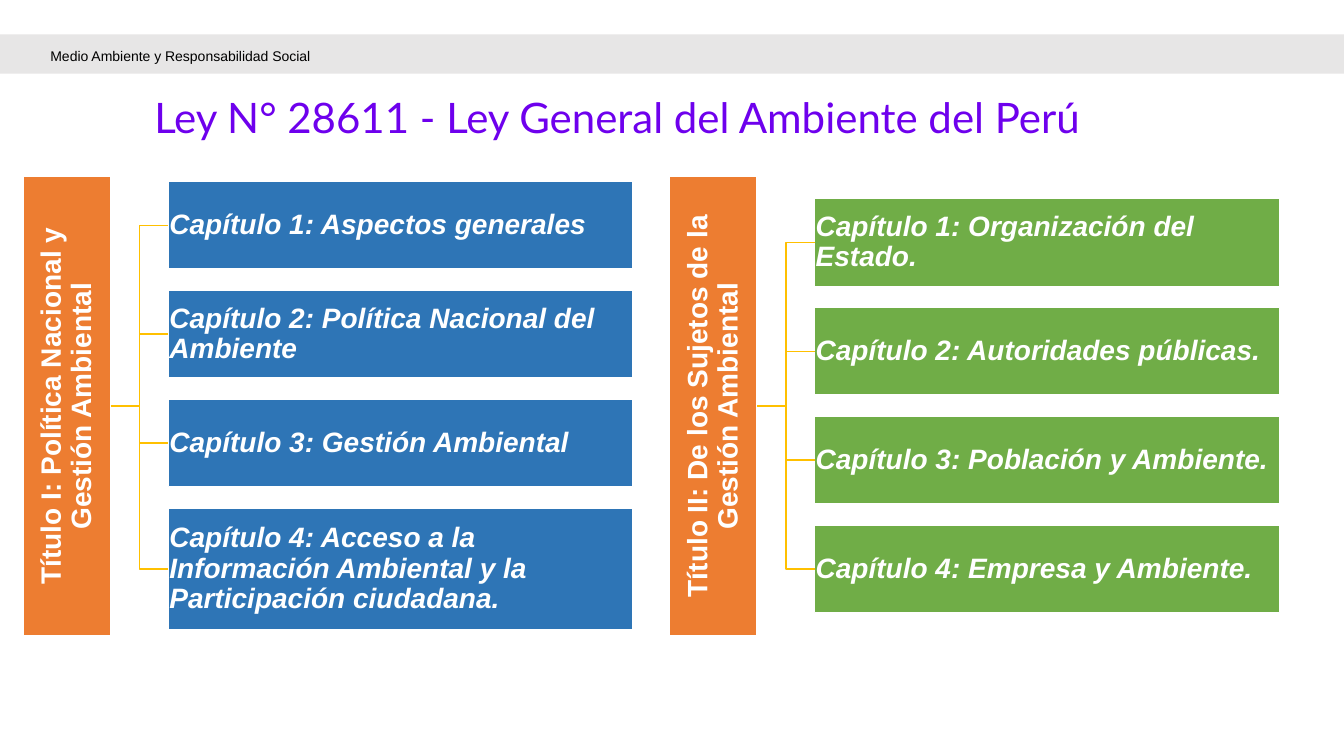
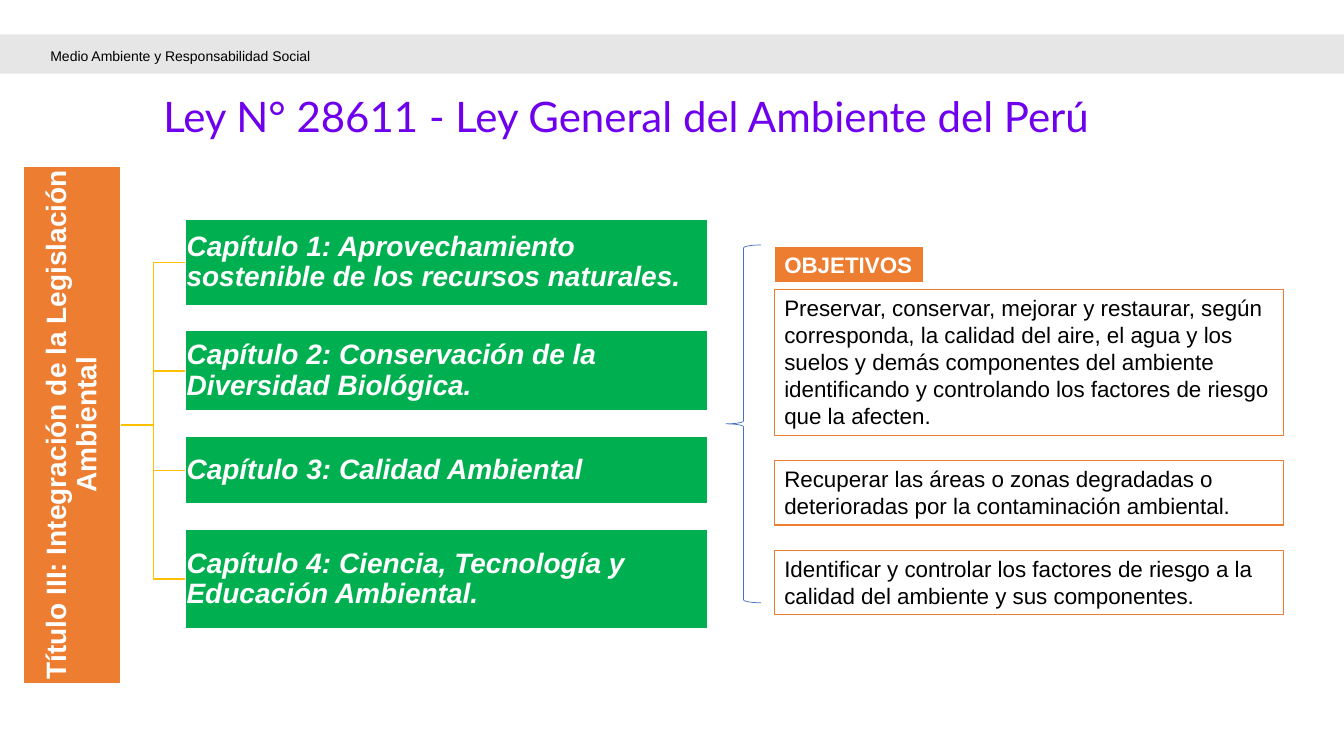
"""Two slides on the titles and chapters of the Peruvian environment law."""
from dataclasses import dataclass

from lxml import etree
from pptx import Presentation
from pptx.dml.color import RGBColor as RGB
from pptx.enum.shapes import MSO_CONNECTOR as Conn, MSO_SHAPE as Kind
from pptx.enum.text import MSO_ANCHOR as Anchor, PP_ALIGN as Align
from pptx.oxml.ns import qn
from pptx.shapes.autoshape import Shape
from pptx.slide import Slide
from pptx.util import Emu, Pt

PX = 9144
WHITE = RGB(0xFF, 0xFF, 0xFF)
BLACK = RGB(0, 0, 0)
GREY = RGB(0xE7, 0xE6, 0xE6)
PURPLE = RGB(0x6E, 0x00, 0xED)
ORANGE = RGB(0xED, 0x7D, 0x31)
GOLD = RGB(0xFF, 0xC0, 0x00)
BLUE = RGB(0x2E, 0x75, 0xB6)
GREEN = RGB(0x70, 0xAD, 0x47)
JADE = RGB(0x00, 0xB0, 0x50)
NAVY = RGB(0x44, 0x72, 0xC4)
LAW = "Ley N° 28611 - Ley General del Ambiente del Perú"
COURSE = "Medio Ambiente y Responsabilidad Social"
GOALS = "OBJETIVOS"


@dataclass(frozen=True)
class Box:
    x: int
    y: int
    w: int
    h: int

    def emu(self) -> tuple[Emu, Emu, Emu, Emu]:
        """Give the box in EMU."""
        return px(self.x), px(self.y), px(self.w), px(self.h)


@dataclass(frozen=True)
class Font:
    size: int
    color: RGB
    bold: bool = False
    slant: bool = False
    face: str = "Arial"


@dataclass(frozen=True)
class Card:
    text: str
    h: int = 87


@dataclass(frozen=True)
class Tree:
    text: str
    bar: Box
    reach: int
    wide: int
    gap: int
    fill: RGB
    cards: tuple[Card, ...]


@dataclass(frozen=True)
class Note:
    text: str
    y: int
    h: int


HEAD = Font(30, PURPLE, face="Lato")
SMALL = Font(10, BLACK)
BODY = Font(16, BLACK)
LABEL = Font(16, WHITE, bold=True)
BAR = Font(20, WHITE, bold=True)
CHAPTER = Font(20, WHITE, bold=True, slant=True)

FIRST = (
    Tree("Título I: Política Nacional y Gestión Ambiental",
         Box(23, 175, 87, 456), 57, 461, 21, BLUE, (
             Card("Capítulo 1: Aspectos generales"),
             Card("Capítulo 2: Política Nacional del Ambiente"),
             Card("Capítulo 3: Gestión Ambiental"),
             Card("Capítulo 4: Acceso a la Información Ambiental y la "
                  "Participación ciudadana.", 121))),
    Tree("Título II: De los Sujetos de la Gestión Ambiental",
         Box(664, 175, 87, 456), 57, 461, 21, GREEN, (
             Card("Capítulo 1: Organización del Estado."),
             Card("Capítulo 2: Autoridades públicas."),
             Card("Capítulo 3: Población y Ambiente."),
             Card("Capítulo 4: Empresa y Ambiente."))),
)
THIRD = Tree(
    "Título III: Integración de la Legislación Ambiental",
    Box(23, 165, 97, 513), 64, 518, 25, JADE, (
        Card("Capítulo 1: Aprovechamiento sostenible de los recursos "
             "naturales.", 85),
        Card("Capítulo 2: Conservación de la Diversidad Biológica.", 80),
        Card("Capítulo 3: Calidad Ambiental", 67),
        Card("Capítulo 4: Ciencia, Tecnología y Educación Ambiental.", 99)))
NOTES = (
    Note("Preservar, conservar, mejorar y restaurar, según corresponda, la "
         "calidad del aire, el agua y los suelos y demás componentes del "
         "ambiente identificando y controlando los factores de riesgo que "
         "la afecten.", 287, 145),
    Note("Recuperar las áreas o zonas degradadas o deterioradas por la "
         "contaminación ambiental.", 457, 64),
    Note("Identificar y controlar los factores de riesgo a la calidad del "
         "ambiente y sus componentes.", 546, 64),
)


def px(num: int) -> Emu:
    """Turn px into EMU."""
    return Emu(num * PX)


def write(shape: Shape, text: str, font: Font, pad: tuple[int, int] = (0, 0),
          anchor: Anchor = Anchor.TOP, align: Align = Align.LEFT,
          lead: float = 1.0, after: int = 0, wrap: bool = True) -> None:
    """Put one styled paragraph into a shape."""
    frame = shape.text_frame
    frame.word_wrap = wrap
    frame.vertical_anchor = anchor
    frame.margin_left = frame.margin_right = px(pad[0])
    frame.margin_top = frame.margin_bottom = px(pad[1])
    para = frame.paragraphs[0]
    para.alignment = align
    para.line_spacing = lead
    para.space_after = Pt(after)
    run = para.add_run()
    run.text = text
    run.font.name = font.face
    run.font.size = Pt(font.size)
    run.font.bold = font.bold
    run.font.italic = font.slant
    run.font.color.rgb = font.color


def draw(slide: Slide, box: Box, fill: RGB | None, line: RGB | None = None,
         width: float = 1, kind: Kind = Kind.RECTANGLE) -> Shape:
    """Draw a flat preset shape."""
    shape = slide.shapes.add_shape(kind, *box.emu())
    shape.shadow.inherit = False
    if fill is None:
        shape.fill.background()
    else:
        shape.fill.solid()
        shape.fill.fore_color.rgb = fill
    if line is None:
        shape.line.fill.background()
    else:
        shape.line.color.rgb = line
        shape.line.width = Pt(width)
    return shape


def link(slide: Slide, bar: Shape, card: Shape) -> None:
    """Join a title bar to a chapter card."""
    elbow = slide.shapes.add_connector(Conn.ELBOW, 0, 0, 0, 0)
    elbow.begin_connect(bar, 3)
    elbow.end_connect(card, 1)
    elbow.line.color.rgb = GOLD
    elbow.line.width = Pt(1)
    etree.SubElement(elbow._element.spPr, qn("a:effectLst"))


def grow(slide: Slide, tree: Tree) -> None:
    """Draw a title bar with its chapters centred beside it."""
    bar = draw(slide, tree.bar, ORANGE, WHITE)
    write(bar, tree.text, BAR, (1, 1), Anchor.MIDDLE, Align.CENTER, 0.9, 7)
    bar.text_frame._txBody.bodyPr.set("vert", "vert270")
    total = sum(card.h for card in tree.cards)
    total += tree.gap * (len(tree.cards) - 1)
    left = tree.bar.x + tree.bar.w + tree.reach
    top = tree.bar.y + (tree.bar.h - total) // 2
    for card in tree.cards:
        shape = draw(slide, Box(left, top, tree.wide, card.h),
                     tree.fill, WHITE)
        write(shape, card.text, CHAPTER, (1, 1), Anchor.MIDDLE,
              lead=0.9, after=7)
        link(slide, bar, shape)
        top += card.h + tree.gap


def start(deck: Presentation, x: int, y: int) -> Slide:
    """Add a slide with the band, course name and law title."""
    slide = deck.slides.add_slide(deck.slide_layouts[6])
    draw(slide, Box(0, 34, 1333, 39), GREY)
    title = slide.shapes.add_textbox(*Box(x, y, 1012, 52).emu())
    write(title, LAW, HEAD, anchor=Anchor.MIDDLE, lead=0.6)
    course = slide.shapes.add_textbox(*Box(50, 39, 410, 32).emu())
    write(course, COURSE, SMALL, lead=1.5)
    return slide


def main() -> None:
    """Build and save the deck."""
    deck = Presentation()
    deck.slide_width, deck.slide_height = px(1333), px(750)
    slide = start(deck, 153, 97)
    for tree in FIRST:
        grow(slide, tree)
    slide = start(deck, 162, 96)
    grow(slide, THIRD)
    for note in NOTES:
        shape = draw(slide, Box(768, note.y, 505, note.h), WHITE, ORANGE)
        write(shape, note.text, BODY, (10, 5))
    draw(slide, Box(720, 243, 35, 355), None, NAVY, 0.5, Kind.LEFT_BRACE)
    label = draw(slide, Box(768, 244, 149, 37), ORANGE, WHITE, 1.5)
    write(label, GOALS, LABEL, (10, 5), wrap=False)
    deck.save("out.pptx")


if __name__ == "__main__":
    main()
